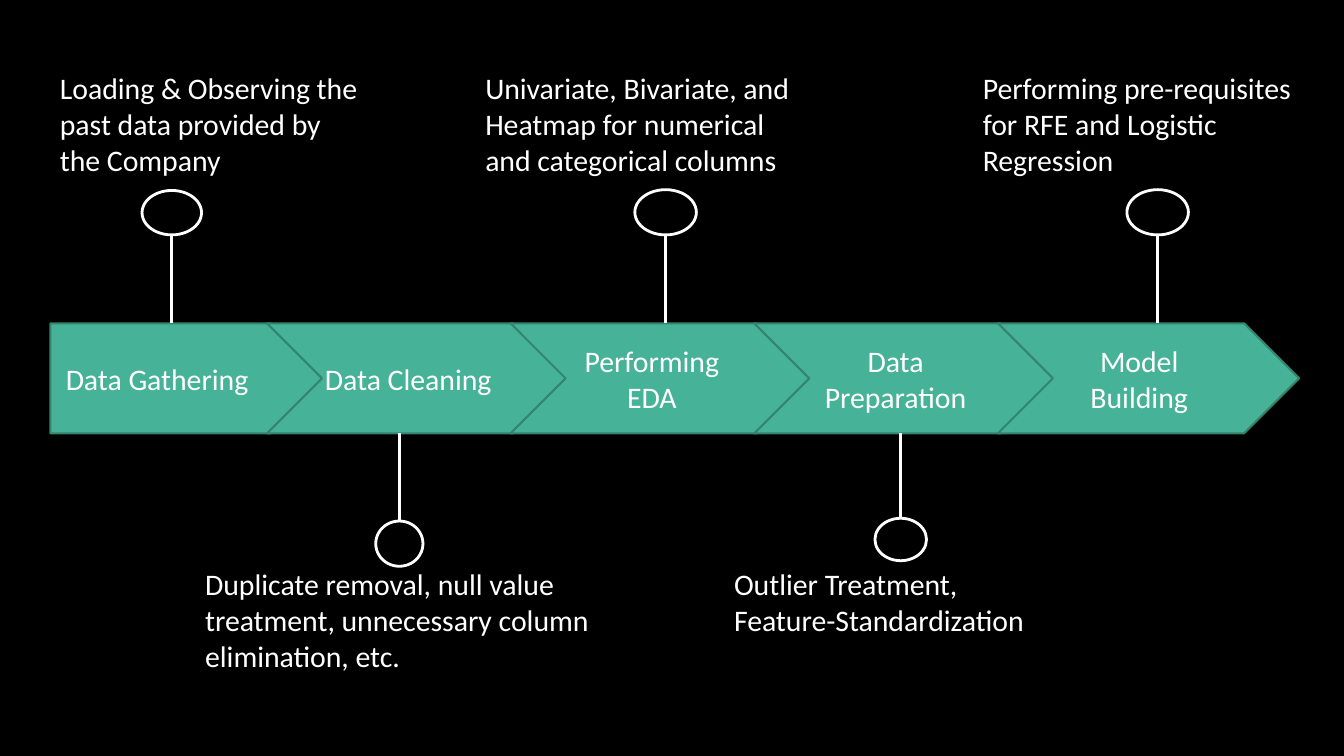
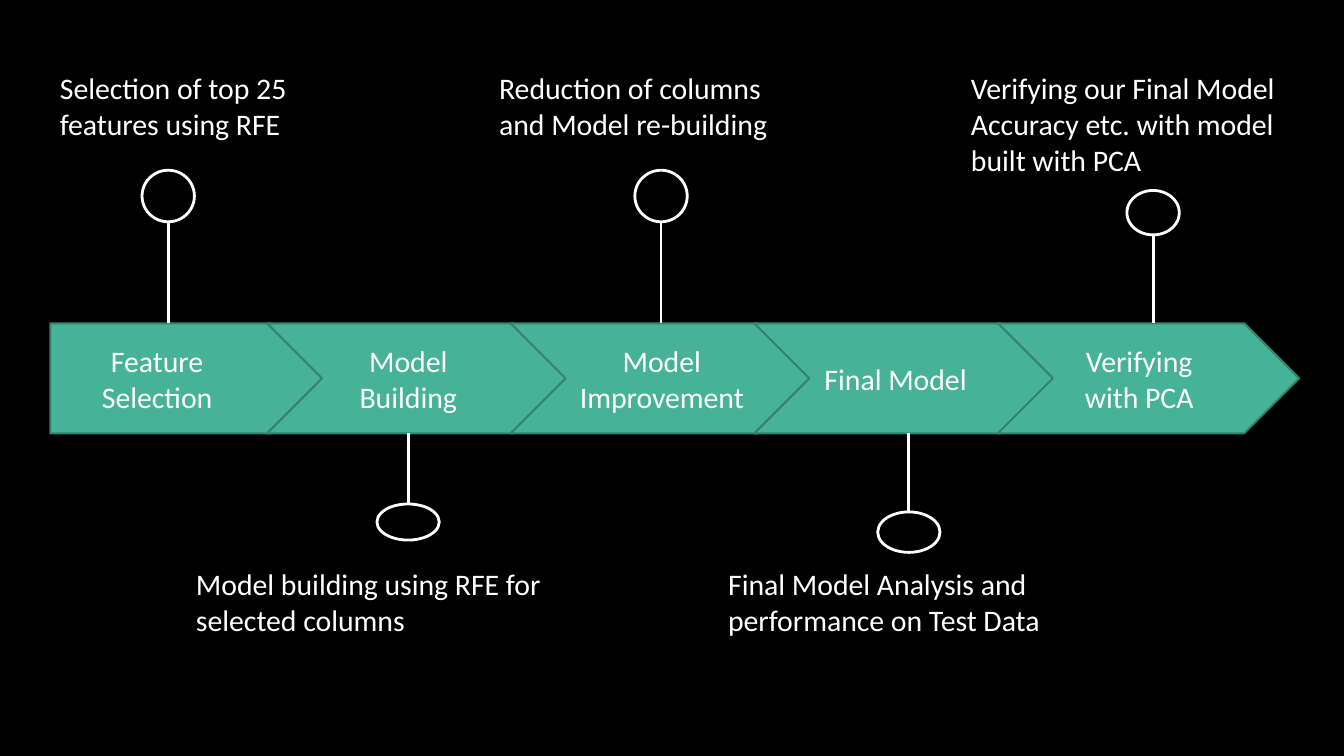
from lxml.etree import SubElement as Sub
from pptx import Presentation
from pptx.dml.color import RGBColor as Rgb
from pptx.enum.shapes import MSO_CONNECTOR as Link, MSO_SHAPE as Kind
from pptx.enum.text import MSO_ANCHOR as Anchor, PP_ALIGN as Align
from pptx.oxml.ns import qn
from pptx.util import Cm, Pt

DECK = [
    [
        dict(step="Data Gathering", wide=5.38, dot=(3.58, 4.8, 1.5, 1.12), box=(1.17, 8.31),
             note="Loading & Observing the past data provided by the Company"),
        dict(step="Data Cleaning", wide=4.88, dot=(9.47, 13.13, 1.19, 1.14), box=(4.83, 10.85),
             note="Duplicate removal, null value treatment, unnecessary column elimination, etc."),
        dict(step="Performing EDA", wide=4.88, dot=(16, 4.78, 1.55, 1.14), box=(11.89, 8.99),
             note="Univariate, Bivariate, and Heatmap for numerical and categorical columns"),
        dict(step="Data Preparation", wide=4.88, dot=(22.05, 13.06, 1.3, 1.07), box=(18.16, 8.64),
             note="Outlier Treatment, Feature-Standardization"),
        dict(step="Model Building", wide=4.88, dot=(28.4, 4.78, 1.55, 1.14), box=(24.43, 8.64),
             note="Performing pre-requisites for RFE and Logistic Regression"),
    ],
    [
        dict(step="Feature Selection", wide=5.38, dot=(3.58, 4.29, 1.32, 1.3), box=(1.17, 8.31),
             note="Selection of top 25 features using RFE"),
        dict(step="Model Building", wide=4.88, dot=(9.5, 12.7, 1.57, 0.91), box=(4.6, 11.38),
             note="Model building using RFE for selected columns"),
        dict(step="Model Improvement", wide=5.38, dot=(16, 4.29, 1.32, 1.3), box=(12.24, 8.31),
             note="Reduction of columns and Model re-building"),
        dict(step="Final Model", wide=4.88, dot=(22.12, 12.9, 1.57, 1.02), box=(18.01, 9.3),
             note="Final Model Analysis and performance on Test Data"),
        dict(step="Verifying with PCA", wide=4.88, dot=(28.4, 4.8, 1.32, 1.12), box=(24.13, 9.3),
             note="Verifying our Final Model Accuracy etc. with model built with PCA"),
    ],
]

BLACK, WHITE, GREEN, EDGE = "000000", "FFFFFF", "46B298", "348470"
BAND_TOP, BAND_TALL = 8.15, 2.77
HEAD = dict(left=1.27, wide=6.93)
CHEVRON = dict(left=6.73, wide=7.59, pitch=6.14, inset=1.12)
LABEL_TOP, LABEL_TALL = 8.66, 1.75
NOTE_TOPS, NOTE_TALL = (1.42, 13.92), 3.35

PAD = Cm(0.34)
FRAME = dict(word_wrap=True, margin_left=PAD, margin_right=PAD, margin_top=PAD, margin_bottom=PAD)
LABEL = dict(frame=dict(vertical_anchor=Anchor.MIDDLE), para=dict(alignment=Align.CENTER))
NOTE = dict(frame=dict(vertical_anchor=Anchor.TOP),
            para=dict(alignment=Align.LEFT, space_after=Pt(21.3)))
FONT = dict(name="Calibri", size=Pt(21.3))


def tint(code):
    return Rgb.from_string(code)


def apply(item, form):
    for key, value in form.items():
        setattr(item, key, value)


def stroke(line, code, width):
    line.color.rgb = tint(code)
    line.width = Pt(width)


def shape(host, kind, place, fill, edge, width):
    item = host.add_shape(kind, *map(Cm, place))
    item.shadow.inherit = False
    item.fill.solid()
    item.fill.fore_color.rgb = tint(fill)
    stroke(item.line, edge, width)


def write(host, text, place, style):
    frame = host.add_textbox(*map(Cm, place)).text_frame
    apply(frame, FRAME | style["frame"])
    para = frame.paragraphs[0]
    apply(para, style["para"])
    run = para.add_run()
    run.text = text
    apply(run.font, FONT)
    run.font.color.rgb = tint(WHITE)


def pin(host, dot, end):
    group = host.add_group_shape().shapes
    left, top, wide, tall = dot
    mid = left + wide / 2
    stem = group.add_connector(Link.STRAIGHT, *map(Cm, (mid, top + tall / 2, mid, end)))
    stroke(stem.line, WHITE, 2)
    Sub(stem._element.spPr, qn("a:effectLst"))
    shape(group, Kind.OVAL, dot, BLACK, WHITE, 2)


def stage(host, rank, part):
    if rank == 0:
        kind, left, wide, start = Kind.PENTAGON, HEAD["left"], HEAD["wide"], HEAD["left"]
    else:
        kind, wide = Kind.CHEVRON, CHEVRON["wide"]
        left = CHEVRON["left"] + (rank - 1) * CHEVRON["pitch"]
        start = left + CHEVRON["inset"]
    low = rank % 2
    shape(host, kind, (left, BAND_TOP, wide, BAND_TALL), GREEN, EDGE, 1.5)
    write(host, part["step"], (start, LABEL_TOP, part["wide"], LABEL_TALL), LABEL)
    pin(host, part["dot"], BAND_TOP + low * BAND_TALL)
    note_left, note_wide = part["box"]
    write(host, part["note"], (note_left, NOTE_TOPS[low], note_wide, NOTE_TALL), NOTE)


def main():
    deck = Presentation()
    apply(deck, dict(slide_width=Cm(33.87), slide_height=Cm(19.05)))
    back = deck.slide_master.background.fill
    back.solid()
    back.fore_color.rgb = tint(BLACK)
    blank = deck.slide_layouts.get_by_name("Blank")
    for parts in DECK:
        host = deck.slides.add_slide(blank).shapes
        for rank, part in enumerate(parts):
            stage(host, rank, part)
    deck.save("out.pptx")


if __name__ == "__main__":
    main()
